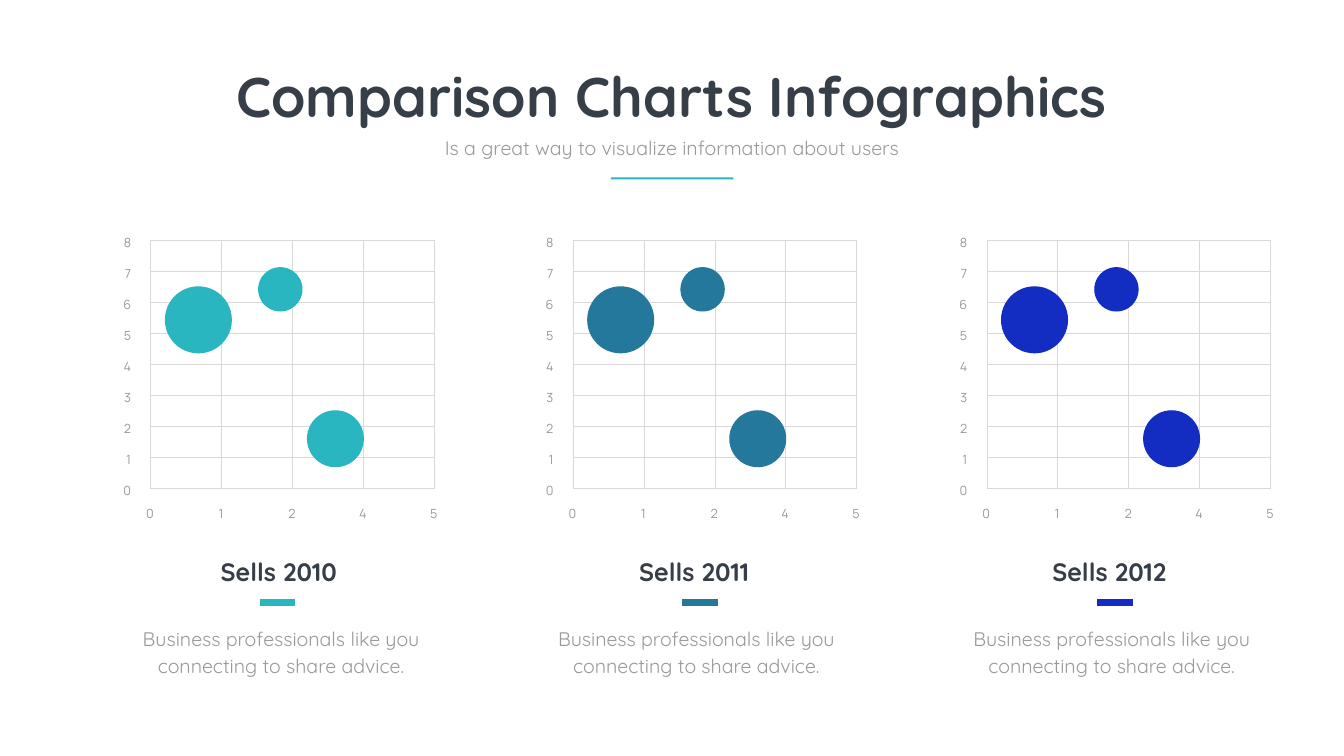
from pptx import Presentation
from pptx import util as u
from pptx.dml.color import RGBColor
from pptx.enum import shapes, text
from pptx.oxml.ns import qn
from lxml import etree

Pt = u.Pt
INK = RGBColor(0x36, 0x3E, 0x48)
GRAY = RGBColor(0x99, 0x99, 0x99)
GRID = RGBColor(0xD9, 0xD9, 0xD9)
TEAL = RGBColor(0x2A, 0xB6, 0xC0)
STEEL = RGBColor(0x24, 0x78, 0x9C)
BLUE = RGBColor(0x13, 0x2D, 0xC2)
MID, RIGHT = text.PP_ALIGN.CENTER, text.PP_ALIGN.RIGHT

ADVICE = "Business professionals like you connecting to share advice."
# heading, colour, plot left, accent bar left
PANELS = [
    ("Sells 2010", TEAL, 215.3, 370.8),
    ("Sells 2011", STEEL, 818.6, 974.2),
    ("Sells 2012", BLUE, 1409.8, 1567.4),
]
# left within the plot, top, diameter
BUBBLES = [(20.2, 409, 95.8), (223.2, 586.1, 81.4), (153.4, 381.6, 63.4)]
COLS = ["0", "1", "2", "4", "5"]
ROWS = ["8", "7", "6", "5", "4", "3", "2", "1", "0"]
TOP, END, COL, ROW = 342.7, 699.1, 101.35, 44.28
TEXT_LEFT, TEXT_STEP = 155.5, 593.3


class Painter:
    """Holds the slide, the fonts and the shape tree being drawn on."""
    font, digit = "Quicksand", "Manrope"

    def __init__(self, slide):
        self.slide = slide
        self.tree = slide.shapes

    def group(self):
        self.tree = self.slide.shapes.add_group_shape().shapes

    def leave(self):
        self.tree = self.slide.shapes

    def letter(self, box, words, size, color, bold=False, font=None,
               align=MID, lead=None, wrap=True):
        """Set one styled paragraph in a box."""
        frame = box.text_frame
        frame.word_wrap = wrap
        frame.auto_size = text.MSO_AUTO_SIZE.NONE
        frame.vertical_anchor = text.MSO_ANCHOR.TOP
        para = frame.paragraphs[0]
        para.alignment = align
        para.space_before = Pt(0)
        if lead:
            para.line_spacing = Pt(lead)
        run = para.add_run()
        run.text = words
        run.font.name = font or self.font
        run.font.size = Pt(size)
        run.font.bold = bold
        run.font.color.rgb = color

    def label(self, x, y, w, h, words, size, color, **style):
        box = self.tree.add_textbox(Pt(x), Pt(y), Pt(w), Pt(h))
        self.letter(box, words, size, color, **style)

    def holder(self, box, x, y, w, h, words, size, color, **style):
        """Move and fill a template placeholder."""
        box.left, box.top, box.width, box.height = Pt(x), Pt(y), Pt(w), Pt(h)
        self.letter(box, words, size, color, **style)

    def tick(self, x, y, h, words, align):
        self.label(x, y, 42.5, h, words, 18, GRAY, font=self.digit,
                   align=align, lead=35.6)

    def line(self, x1, y1, x2, y2, color, width):
        rule = self.tree.add_connector(
            shapes.MSO_CONNECTOR.STRAIGHT, Pt(x1), Pt(y1), Pt(x2), Pt(y2))
        rule.line.color.rgb = color
        rule.line.width = Pt(width)
        etree.SubElement(rule._element.spPr, qn("a:effectLst"))

    def shape(self, kind, x, y, w, h, color):
        item = self.tree.add_shape(kind, Pt(x), Pt(y), Pt(w), Pt(h))
        item.shadow.inherit = False
        item.fill.solid()
        item.fill.fore_color.rgb = color
        item.line.fill.background()

    def plot(self, left, color):
        self.group()
        right = left + COL * (len(COLS) - 1)
        for i in range(len(COLS)):
            x = left + i * COL
            self.line(x, TOP, x, END, GRID, 1)
        for i in range(len(ROWS)):
            y = TOP + i * ROW
            self.line(right, y, left, y, GRID, 1)
        for x, y, size in BUBBLES:
            self.shape(shapes.MSO_SHAPE.OVAL, left + x, y, size, size, color)
        for i, words in enumerate(ROWS):
            self.tick(left - 63.4, TOP - 25 + i * ROW, 45.4, words, RIGHT)
        for i, words in enumerate(COLS):
            self.tick(left - 22.2 + i * COL, 705.6, 40.3, words, MID)
        self.leave()

    def caption(self, left, bar, head, color):
        self.label(left, 887, 491.8, 85, ADVICE, 28, GRAY, lead=38.6)
        self.label(left + 70.6, 791.3, 344.2, 51.1, head, 36, INK, bold=True)
        self.line(bar, 861.1, bar + 51.1, 861.1, color, 10)


def main():
    deck = Presentation()
    deck.slide_width, deck.slide_height = Pt(1920), Pt(1080)
    slide = deck.slides.add_slide(deck.slide_layouts[0])
    pen = Painter(slide)
    title, sub = slide.placeholders
    pen.holder(title, 321.8, 84.2, 1275.1, 104.4,
               "Comparison Charts Infographics", 80, INK, bold=True, wrap=False)
    pen.holder(sub, 615.6, 190.8, 688.3, 41,
               "Is a great way to visualize information about users", 28, GRAY)
    pen.shape(shapes.MSO_SHAPE.RECTANGLE, 872.6, 253.4, 175, 2.9, TEAL)
    for i, (head, color, left, bar) in enumerate(PANELS):
        pen.caption(TEXT_LEFT + i * TEXT_STEP, bar, head, color)
        pen.plot(left, color)
    deck.save("out.pptx")


if __name__ == "__main__":
    main()
